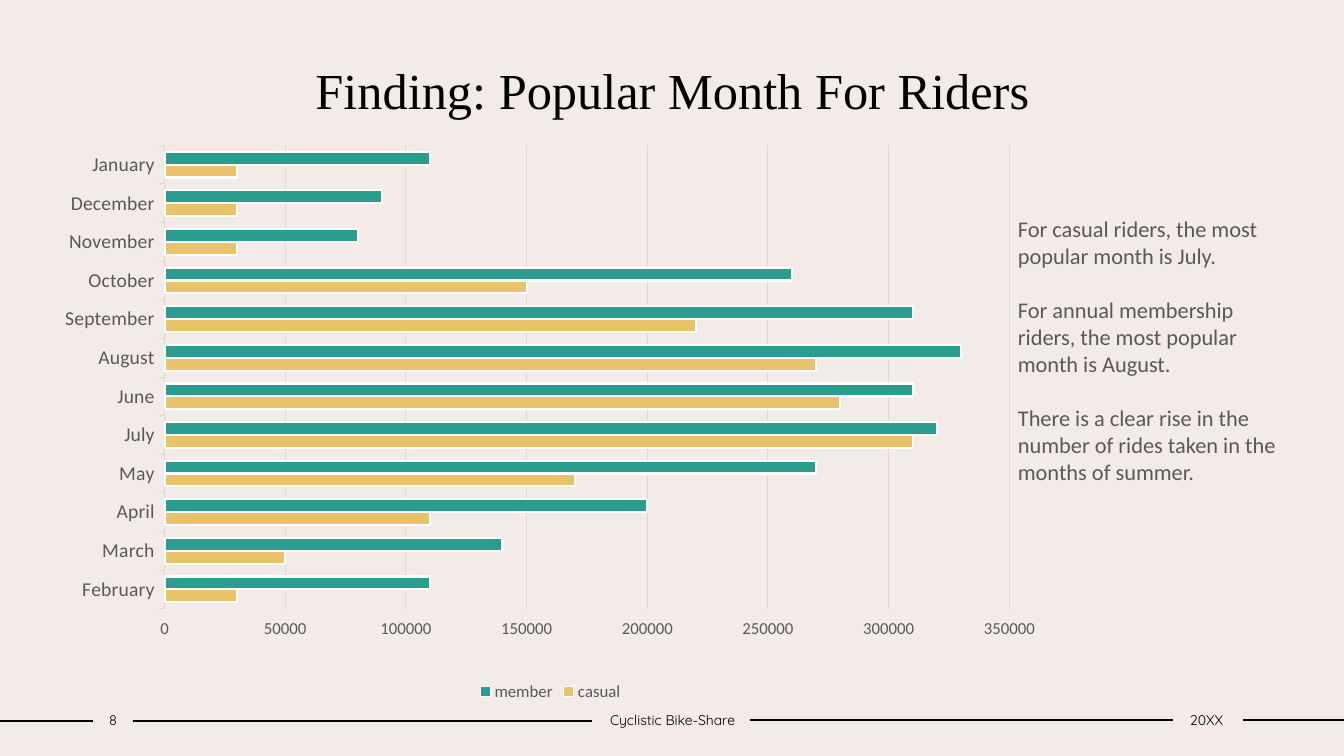
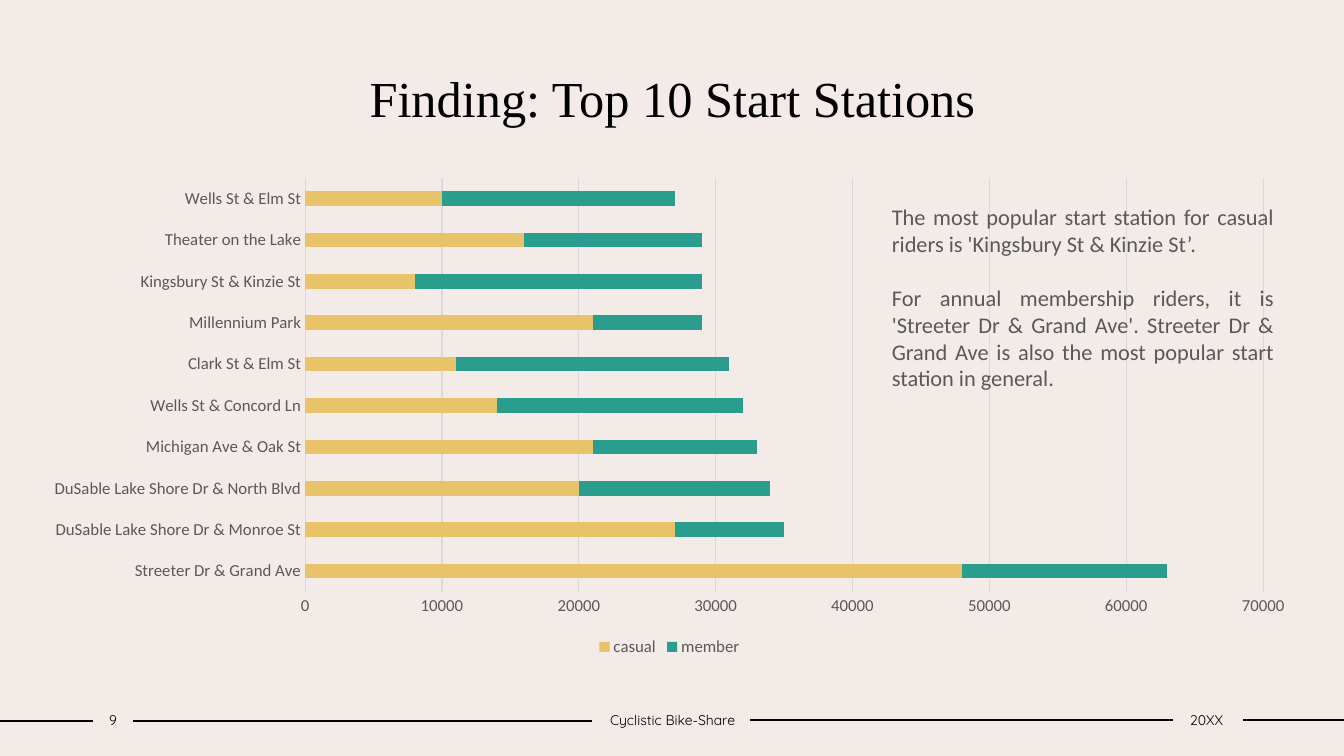
from pptx import Presentation
from pptx.chart.data import CategoryChartData
from pptx.dml.color import RGBColor
from pptx.enum.chart import XL_CHART_TYPE, XL_LEGEND_POSITION, XL_TICK_MARK
from pptx.enum.shapes import MSO_CONNECTOR
from pptx.enum.text import MSO_ANCHOR, MSO_AUTO_SIZE, PP_ALIGN
from pptx.oxml import parse_xml
from pptx.oxml.ns import nsdecls
from pptx.util import Pt

CLUSTERED, STACKED = XL_CHART_TYPE.BAR_CLUSTERED, XL_CHART_TYPE.BAR_STACKED
TICK_OUT, TICK_NONE = XL_TICK_MARK.OUTSIDE, XL_TICK_MARK.NONE
BOTTOM = XL_LEGEND_POSITION.BOTTOM
STRAIGHT = MSO_CONNECTOR.STRAIGHT
TOP, MIDDLE = MSO_ANCHOR.TOP, MSO_ANCHOR.MIDDLE
NO_FIT, GROW = MSO_AUTO_SIZE.NONE, MSO_AUTO_SIZE.SHAPE_TO_FIT_TEXT
LEFT, CENTER, JUSTIFY = PP_ALIGN.LEFT, PP_ALIGN.CENTER, PP_ALIGN.JUSTIFY

BACKGROUND = RGBColor(0xF3, 0xEB, 0xE8)
BLACK = RGBColor(0x00, 0x00, 0x00)
WHITE = RGBColor(0xFF, 0xFF, 0xFF)
GRAY = RGBColor(0x59, 0x59, 0x59)
GRID = RGBColor(0xD9, 0xD9, 0xD9)
SERIES_COLORS = {
    "casual": RGBColor(0xE9, 0xC3, 0x69),
    "member": RGBColor(0x2A, 0x9D, 0x8F),
}
TITLE_FONT, BODY_FONT, FOOTER_FONT = "Times New Roman", "Calibri", "Quicksand"

SLIDE_WIDTH, SLIDE_HEIGHT = 1344, 756
SCALE = 12192000 / SLIDE_WIDTH

FOOTER_LINES = [(0, 93, 721), (133, 592, 721), (750, 1173, 720), (1243, 1344, 720)]
FOOTER_BOXES = [(93, 706, 40, 27), (592, 706, 161, 27), (1171, 706, 71, 27)]
FOOTER_NAME, FOOTER_DATE = "Cyclistic Bike-Share", "20XX"

SLIDES = [
    {
        "number": "8",
        "title": "Finding: Popular Month For Riders",
        "title_top": 48,
        "notes": [
            "For casual riders, the most popular month is July.",
            "For annual membership riders, the most popular month is August.",
            "There is a clear rise in the number of rides taken in the months of summer.",
        ],
        "notes_at": (1008, 210, 296, 281),
        "align": LEFT,
        "chart": {
            "type": CLUSTERED,
            "at": (29, 134, 1043, 572),
            "categories": ["February", "March", "April", "May", "July", "June", "August",
                           "September", "October", "November", "December", "January"],
            "series": {
                "casual": [30000, 50000, 110000, 170000, 310000, 280000,
                           270000, 220000, 150000, 30000, 30000, 30000],
                "member": [110000, 140000, 200000, 270000, 320000, 310000,
                           330000, 310000, 260000, 80000, 90000, 110000],
            },
            "outline": WHITE,
            "gap": 100,
            "overlap": 0,
            "step": 50000,
            "tick": TICK_OUT,
            "category_size": 14,
            "plot": {"x": 0.13, "y": 0.02, "w": 0.81, "h": 0.81},
        },
    },
    {
        "number": "9",
        "title": "Finding: Top 10 Start Stations",
        "title_top": 56,
        "notes": [
            "The most popular start station for casual riders is 'Kingsbury St & Kinzie St’.",
            "For annual membership riders, it is 'Streeter Dr & Grand Ave'. "
            "Streeter Dr & Grand Ave is also the most popular start station in general.",
        ],
        "notes_at": (882, 198, 402, 231),
        "align": JUSTIFY,
        "chart": {
            "type": STACKED,
            "at": (29, 168, 1281, 493),
            "categories": ["Streeter Dr & Grand Ave", "DuSable Lake Shore Dr & Monroe St",
                           "DuSable Lake Shore Dr & North Blvd", "Michigan Ave & Oak St",
                           "Wells St & Concord Ln", "Clark St & Elm St", "Millennium Park",
                           "Kingsbury St & Kinzie St", "Theater on the Lake",
                           "Wells St & Elm St"],
            "series": {
                "casual": [48000, 27000, 20000, 21000, 14000,
                           11000, 21000, 8000, 16000, 10000],
                "member": [15000, 8000, 14000, 12000, 18000,
                           20000, 8000, 21000, 13000, 17000],
            },
            "outline": None,
            "gap": 182,
            "overlap": 100,
            "step": 10000,
            "tick": TICK_NONE,
            "category_size": 12,
            "plot": None,
        },
    },
]


def px(value):
    return round(value * SCALE)


def place(values):
    return [px(value) for value in values]


def style_font(font, name, size, color):
    font.name = name
    font.size = Pt(size)
    font.color.rgb = color


def style_line(line, color, width):
    line.color.rgb = color
    line.width = Pt(width)


def add_footer_lines(page, layout):
    for index, (start, end, top) in enumerate(FOOTER_LINES):
        line = page.shapes.add_connector(STRAIGHT, *place((start, top, end, top)))
        style_line(line.line, BLACK, 1)
        line.element.spPr.append(parse_xml(f"<a:effectLst {nsdecls('a')}/>"))
        line.element.nvCxnSpPr.cNvPr.set("id", str(20 + index))
        layout.shapes.element.append(line.element)


def add_title(page, text, top):
    title = page.shapes.title
    title.left, title.top, title.width, title.height = place((126, top, 1093, 112))
    frame = title.text_frame
    frame.text = text
    frame.vertical_anchor = TOP
    frame.auto_size = NO_FIT
    frame.margin_top = px(11)
    paragraph = frame.paragraphs[0]
    paragraph.alignment = CENTER
    style_font(paragraph.font, TITLE_FONT, 36, BLACK)


def add_footer(page, number):
    for text, at in zip((number, FOOTER_NAME, FOOTER_DATE), FOOTER_BOXES):
        frame = page.shapes.add_textbox(*place(at)).text_frame
        frame.text = text
        frame.word_wrap = True
        frame.vertical_anchor = MIDDLE
        frame.margin_left = frame.margin_right = 0
        paragraph = frame.paragraphs[0]
        paragraph.alignment = CENTER
        style_font(paragraph.font, FOOTER_FONT, 10, BLACK)


def add_notes(page, notes, at, align):
    frame = page.shapes.add_textbox(*place(at)).text_frame
    frame.word_wrap = True
    frame.auto_size = GROW
    frame.text = "\n".join(notes)
    for index, paragraph in enumerate(frame.paragraphs):
        paragraph.alignment = align
        if index:
            paragraph.space_before = Pt(19.5)
        style_font(paragraph.font, BODY_FONT, 16, GRAY)


def clear_chart_background(chart):
    clear = (f"<c:spPr {nsdecls('c', 'a')}><a:noFill/>"
             "<a:ln><a:noFill/></a:ln></c:spPr>")
    chart.element.chart.addnext(parse_xml(clear))
    chart.element.chart.plotArea.append(parse_xml(clear))


def set_plot_layout(chart, plot):
    edges = "".join(f'<c:{edge}Mode val="edge"/>' for edge in "xy")
    sizes = "".join(f'<c:{key} val="{value}"/>' for key, value in plot.items())
    area = chart.element.chart.plotArea
    for layout in area.findall("{*}layout"):
        area.remove(layout)
    area.insert(0, parse_xml(
        f"<c:layout {nsdecls('c')}><c:manualLayout>"
        f'<c:layoutTarget val="inner"/>{edges}{sizes}'
        "</c:manualLayout></c:layout>"))


def add_bar_chart(page, content):
    data = CategoryChartData()
    data.categories = content["categories"]
    for name, values in content["series"].items():
        data.add_series(name, values)
    chart = page.shapes.add_chart(content["type"], *place(content["at"]), data).chart
    chart.has_title = False
    style_font(chart.font, BODY_FONT, 12, GRAY)
    chart.has_legend = True
    chart.legend.position = BOTTOM
    chart.legend.include_in_layout = False
    style_font(chart.legend.font, BODY_FONT, 12, GRAY)

    bars = chart.plots[0]
    bars.vary_by_categories = False
    bars.gap_width = content["gap"]
    bars.overlap = content["overlap"]
    for series in bars.series:
        series.invert_if_negative = False
        series.format.fill.solid()
        series.format.fill.fore_color.rgb = SERIES_COLORS[series.name]
        if content["outline"] is not None:
            style_line(series.format.line, content["outline"], 1.5)

    names, scale = chart.category_axis, chart.value_axis
    for axis, size in ((names, content["category_size"]), (scale, 12)):
        axis.major_tick_mark = content["tick"]
        axis.minor_tick_mark = TICK_NONE
        style_font(axis.tick_labels.font, BODY_FONT, size, GRAY)
    style_line(names.format.line, GRID, 0.75)
    scale.format.line.fill.background()
    scale.has_major_gridlines = True
    style_line(scale.major_gridlines.format.line, GRID, 0.75)
    scale.minimum_scale = 0
    scale.maximum_scale = 7 * content["step"]
    scale.major_unit = content["step"]

    clear_chart_background(chart)
    if content["plot"]:
        set_plot_layout(chart, content["plot"])


def main():
    deck = Presentation()
    deck.slide_width, deck.slide_height = place((SLIDE_WIDTH, SLIDE_HEIGHT))
    fill = deck.slide_master.background.fill
    fill.solid()
    fill.fore_color.rgb = BACKGROUND
    layout = deck.slide_layouts[5]
    for index, content in enumerate(SLIDES):
        page = deck.slides.add_slide(layout)
        if index == 0:
            add_footer_lines(page, layout)
        add_title(page, content["title"], content["title_top"])
        add_bar_chart(page, content["chart"])
        add_footer(page, content["number"])
        add_notes(page, content["notes"], content["notes_at"], content["align"])
    deck.save("out.pptx")


if __name__ == "__main__":
    main()
